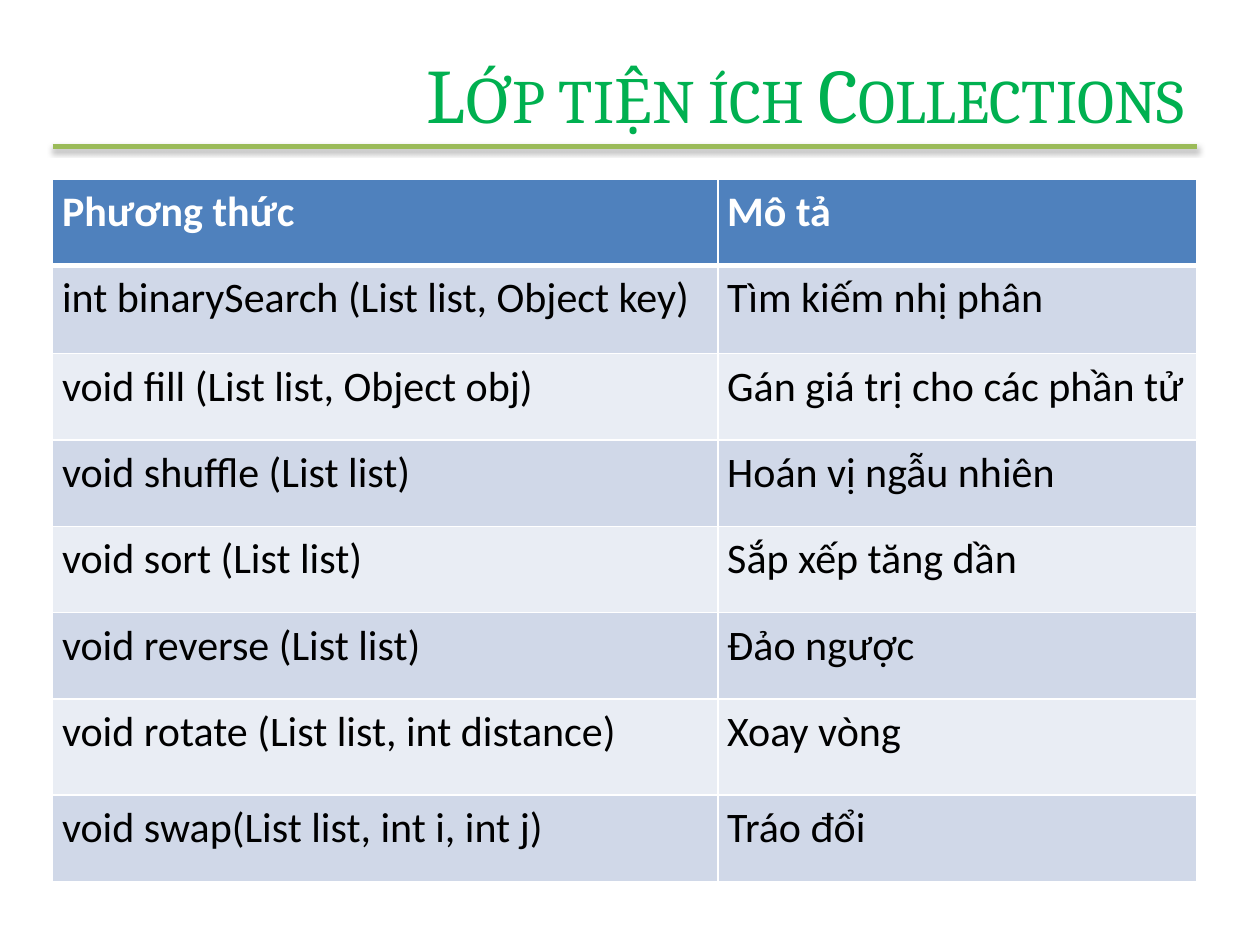
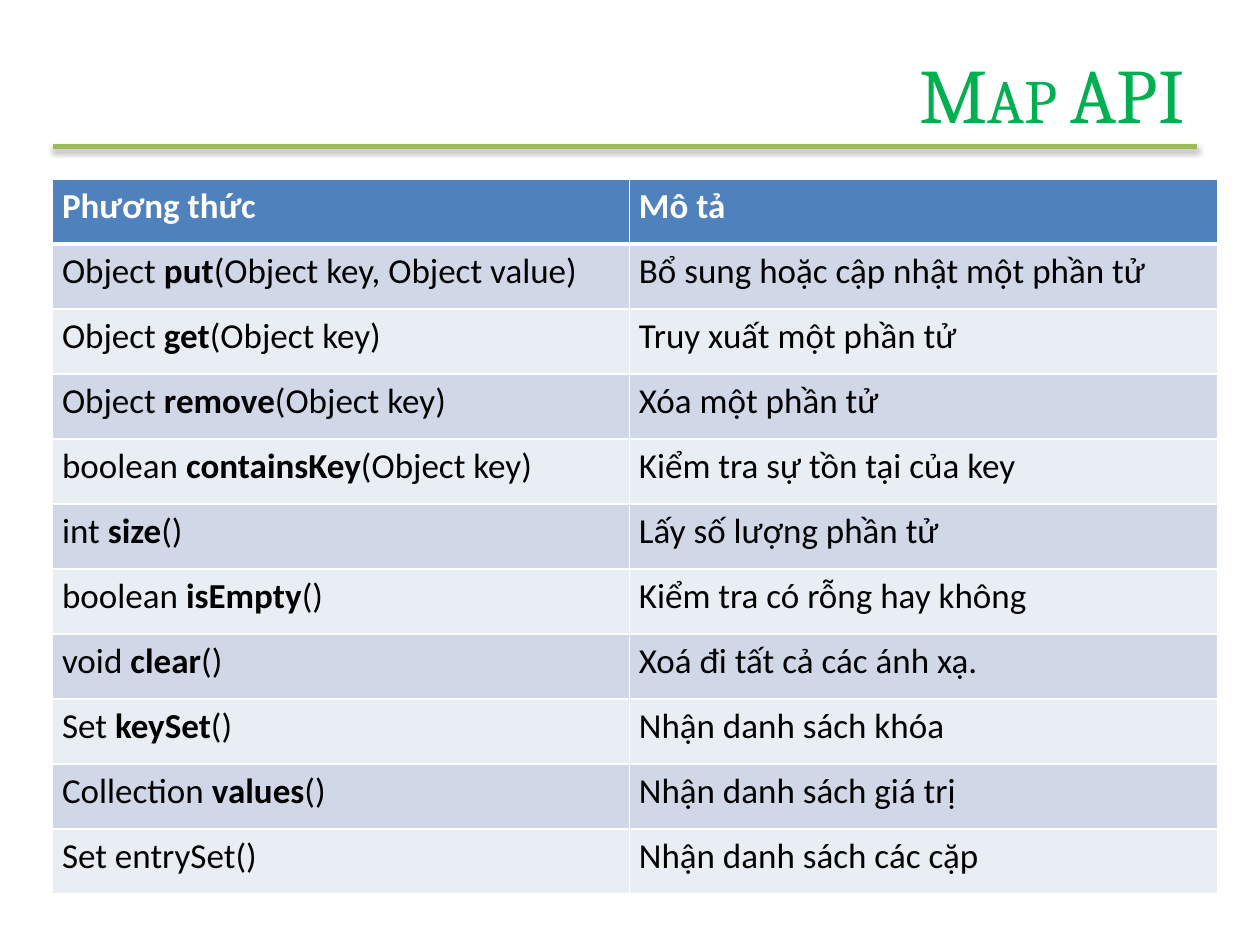
import pptx
import pptx.util
import pptx.dml.color
import pptx.enum.text
import pptx.enum.shapes
import pptx.oxml
import pptx.oxml.ns

Cm, Pt = pptx.util.Cm, pptx.util.Pt
ALIGN = pptx.enum.text.PP_ALIGN
ANCHOR = pptx.enum.text.MSO_ANCHOR
NS = pptx.oxml.ns.nsdecls("a")


def paint(code):
    """Return the colour for a hex string."""
    return pptx.dml.color.RGBColor.from_string(code)


def apply(target, values):
    """Set each named value as an attribute of the target."""
    for name, value in values.items():
        setattr(target, name, value)


class Deck:
    """Holds the shared style and the current slide."""

    GREEN, LIME, BLUE = "00B050", "9BBB59", "4F81BD"
    WHITE, BLACK = "FFFFFF", "000000"
    BANDS = ("D0D8E8", "E9EDF4")
    LEFT, RIGHT, RULE, TOP = 1.06, 24.13, 2.96, 3.61
    CELL = dict(margin_left=Cm(0.19), margin_right=Cm(0.19),
                margin_top=0, margin_bottom=0)
    PARA = dict(alignment=ALIGN.JUSTIFY, line_spacing=1.15,
                space_before=Pt(6), space_after=Pt(6))

    def __init__(self):
        """Start an empty 4:3 deck."""
        self.file = pptx.Presentation()
        apply(self.file, dict(slide_width=Cm(25.4), slide_height=Cm(19.05)))
        self.slide = None

    def page(self, title):
        """Add a slide with its rule and title."""
        self.slide = self.file.slides.add_slide(self.file.slide_layouts[6])
        self.rule()
        self.title(title)

    def rule(self):
        """Draw the shadowed line below the title."""
        line = self.slide.shapes.add_connector(
            pptx.enum.shapes.MSO_CONNECTOR.STRAIGHT,
            Cm(self.LEFT), Cm(self.RULE), Cm(self.RIGHT), Cm(self.RULE))
        line.line.color.rgb = paint(self.LIME)
        line.line.width = Pt(3)
        line._element.spPr.append(pptx.oxml.parse_xml(
            f'<a:effectLst {NS}><a:outerShdw blurRad="{Pt(3.1)}" '
            f'dist="{Pt(1.8)}" dir="5400000" rotWithShape="0">'
            f'<a:srgbClr val="{self.BLACK}"><a:alpha val="35000"/></a:srgbClr>'
            '</a:outerShdw></a:effectLst>'))

    def title(self, text):
        """Write the title in small capitals, set to the right."""
        box = self.slide.shapes.add_textbox(
            Cm(3.68), Cm(0.76), Cm(self.RIGHT - 3.68), Cm(2.2))
        frame = box.text_frame
        apply(frame, dict(word_wrap=True, vertical_anchor=ANCHOR.MIDDLE))
        para = frame.paragraphs[0]
        para.alignment = ALIGN.RIGHT
        run = self.run(para, text, "Cambria", 44, self.GREEN)
        run.font._element.set("cap", "small")

    def run(self, para, text, face, size, color, bold=False):
        """Add one formatted run to a paragraph."""
        run = para.add_run()
        run.text = text
        apply(run.font, dict(name=face, size=Pt(size), bold=bold))
        run.font.color.rgb = paint(color)
        return run

    def cell(self, cell, text, size, fill, color, head):
        """Fill a cell; text between asterisks is bold."""
        apply(cell, self.CELL)
        cell.fill.solid()
        cell.fill.fore_color.rgb = paint(fill)
        para = cell.text_frame.paragraphs[0]
        apply(para, self.PARA)
        for part, words in enumerate(text.split("*")):
            self.run(para, words, "Calibri", size, color, head or part % 2 == 1)

    def edge(self, cell):
        """Give a head cell its white borders, thick at the foot."""
        props = cell._tc.get_or_add_tcPr()
        for spot, (side, width) in enumerate(
                dict(lnL=1, lnR=1, lnT=1, lnB=3).items()):
            props.insert(spot, pptx.oxml.parse_xml(
                f'<a:{side} {NS} w="{Pt(width)}"><a:solidFill>'
                f'<a:srgbClr val="{self.WHITE}"/></a:solidFill></a:{side}>'))

    def table(self, rows, cols, highs, size):
        """Add a banded table under a blue head row."""
        rows = [("Phương thức", "Mô tả")] + rows
        grid = self.slide.shapes.add_table(
            len(rows), len(cols), Cm(self.LEFT), Cm(self.TOP),
            Cm(sum(cols)), Cm(sum(highs))).table
        for col, width in zip(grid.columns, cols):
            col.width = Cm(width)
        for i, (row, high) in enumerate(zip(rows, highs)):
            grid.rows[i].height = Cm(high)
            head = i == 0
            fill = self.BLUE if head else self.BANDS[(i - 1) % 2]
            color = self.WHITE if head else self.BLACK
            for j, text in enumerate(row):
                self.cell(grid.cell(i, j), text, size, fill, color, head)
                if head:
                    self.edge(grid.cell(i, j))


deck = Deck()

deck.page("Lớp tiện ích Collections")
deck.table([
    ("int binarySearch (List list, Object key)", "Tìm kiếm nhị phân"),
    ("void fill (List list, Object obj)", "Gán giá trị cho các phần tử"),
    ("void shuffle (List list)", "Hoán vị ngẫu nhiên"),
    ("void sort (List list)", "Sắp xếp tăng dần"),
    ("void reverse (List list)", "Đảo ngược"),
    ("void rotate (List list, int distance)", "Xoay vòng"),
    ("void swap(List list, int i, int j)", "Tráo đổi"),
], (13.41, 9.65), [1.74, 1.78] + [1.74] * 4 + [1.94, 1.74], 24)

deck.page("Map API")
deck.table([
    ("Object *put*(Object key, Object value)",
     "Bổ sung hoặc cập nhật một phần tử"),
    ("Object *get*(Object key)", "Truy xuất một phần tử"),
    ("Object *remove*(Object key)", "Xóa một phần tử"),
    ("boolean *containsKey*(Object key)", "Kiểm tra sự tồn tại của key"),
    ("int *size*()", "Lấy số lượng phần tử"),
    ("boolean *isEmpty*()", "Kiểm tra có rỗng hay không"),
    ("void *clear*()", "Xoá đi tất cả các ánh xạ."),
    ("Set *keySet*()", "Nhận danh sách khóa"),
    ("Collection *values*()", "Nhận danh sách giá trị"),
    ("Set entrySet()", "Nhận danh sách các cặp"),
], (11.63, 11.86), [1.31] * 11, 20)

deck.file.save("out.pptx")
